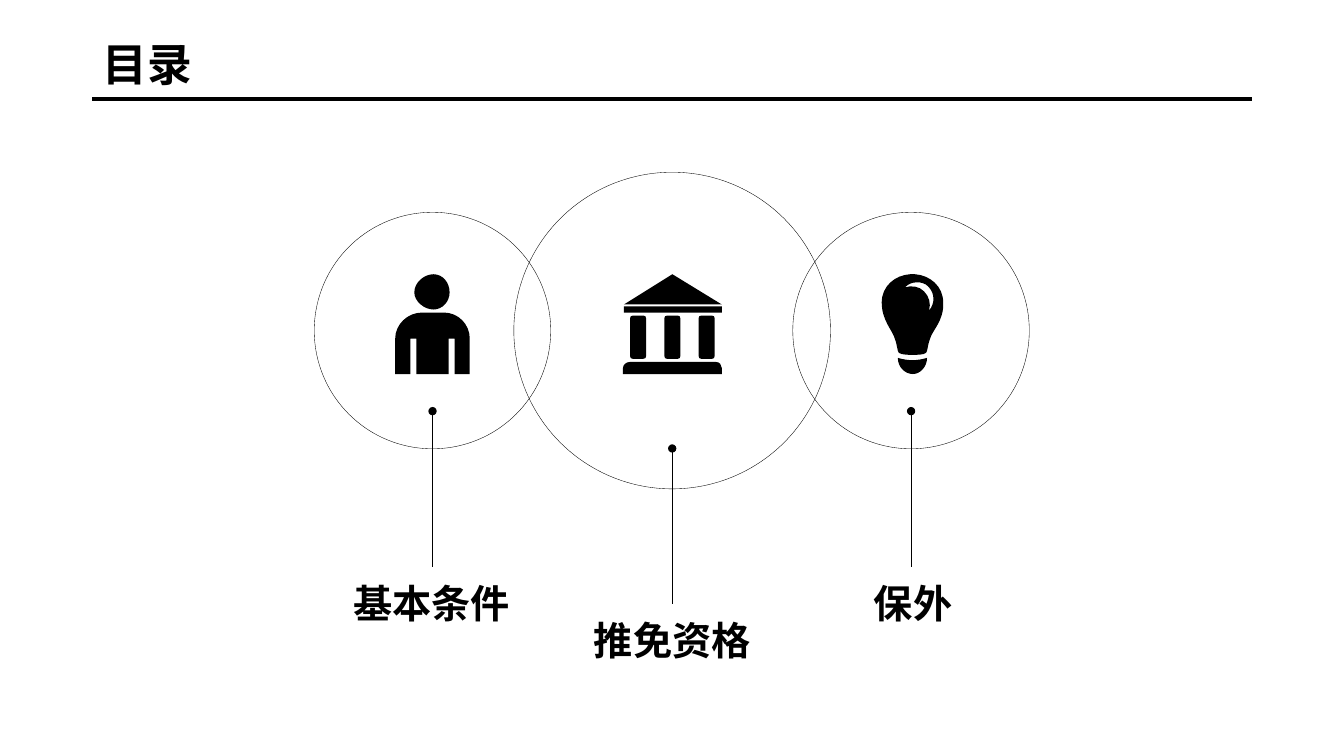
from lxml.etree import SubElement
from pptx import Presentation
from pptx.dml.color import RGBColor
from pptx.enum.shapes import MSO_CONNECTOR, MSO_SHAPE
from pptx.enum.text import MSO_ANCHOR, MSO_AUTO_SIZE, PP_ALIGN
from pptx.oxml.ns import qn
from pptx.util import Cm, Pt

BLACK = RGBColor(0, 0, 0)
FONT = "Noto Sans CJK SC"
UNIT = Cm(2.54) // 100
MID_Y = 8.33
ICON_Y = 6.91
PIN_LEN = 3.93


def box(x, y, w, h):
    return [(x, y), (x + w, y), (x + w, y + h), (x, y + h)]


def pillar(x, y=41, w=16, h=43, r=3):
    a, b = x + w, y + h
    return [(x + r, y), (a - r, y), (a - 1, y, a, y + 1, a, y + r),
            (a, b - r), (a, b - 1, a - 1, b, a - r, b),
            (x + r, b), (x + 1, b, x, b - 1, x, b - r),
            (x, y + r), (x, y + 1, x + 1, y, x + r, y)]


# Each part starts at a point; pairs are straight lines, sextuples are Bezier curves.
PERSON = [
    [(38, 35), (47, 35, 54, 27, 54, 18), (54, 8, 47, 0, 38, 0),
     (29, 0, 19, 8, 19, 18), (19, 27, 29, 35, 38, 35)],
    [(48, 38), (27, 38), (12, 38, 0, 50, 0, 64), (0, 99), (15, 99), (15, 64),
     (21, 64), (21, 99), (53, 99), (53, 64), (59, 64), (59, 99), (74, 99),
     (74, 64), (74, 50, 63, 38, 48, 38)],
]
BANK = [
    [(7, 87), (92, 87), (96, 87, 98, 90, 98, 93), (98, 99), (0, 99),
     (0, 93), (0, 90, 3, 87, 7, 87)],
    *[pillar(7 + 34 * i) for i in range(3)],
    box(1, 32, 97, 6),
    [(49, 0), (98, 30), (1, 30)],
]
BULB = [
    [(16, 83), (26, 86, 35, 86, 45, 83), (45, 92, 38, 99, 31, 99),
     (23, 99, 16, 92, 16, 83)],
    [(35, 8), (30, 8, 26, 10, 23, 13), (30, 11, 37, 12, 42, 17),
     (47, 22, 49, 29, 47, 36), (53, 29, 53, 19, 46, 12), (43, 9, 39, 8, 35, 8)],
    [(28, 0), (33, 0), (48, 1, 61, 12, 61, 28), (62, 46, 50, 56, 48, 64),
     (45, 72, 46, 75, 44, 78), (42, 80, 34, 80, 31, 80), (27, 80, 20, 80, 17, 78),
     (15, 75, 16, 72, 13, 64), (11, 56, 0, 46, 0, 28), (0, 12, 13, 1, 28, 0)],
]

# Label, its centre, ring centre, radius, top of pin, icon, left of icon
TOPICS = [
    ("推免资格", 16.94, 16.94, 3.99, 11.3, BANK, 15.7),
    ("基本条件", 10.87, 10.9, 2.98, 10.36, PERSON, 9.96),
    ("保外", 23.01, 22.96, 2.98, 10.36, BULB, 22.22),
]


def style(item, values):
    for name, value in values.items():
        setattr(item, name, value)


def write(shape, text, size, align):
    frame = shape.text_frame
    style(frame, {"text": text, "word_wrap": True,
                  "auto_size": MSO_AUTO_SIZE.NONE,
                  "vertical_anchor": MSO_ANCHOR.MIDDLE})
    para = frame.paragraphs[0]
    style(para, {"alignment": align, "space_before": Pt(0)})
    run = para.runs[0]
    style(run.font, {"name": FONT, "size": Pt(size), "bold": True})
    run.font.color.rgb = BLACK
    SubElement(run.font._element, qn("a:ea")).set("typeface", FONT)


def place(shape, x, y, w, h):
    style(shape, {"left": Cm(x), "top": Cm(y), "width": Cm(w), "height": Cm(h)})


def draw_line(slide, x1, y1, x2, y2, width, dot=False):
    line = slide.shapes.add_connector(
        MSO_CONNECTOR.STRAIGHT, Cm(x1), Cm(y1), Cm(x2), Cm(y2))
    line.line.color.rgb = BLACK
    line.line.width = Pt(width)
    props = line._element.spPr
    if dot:
        SubElement(props.find(qn("a:ln")), qn("a:headEnd")).set("type", "oval")
    SubElement(props, qn("a:effectLst"))


def draw_ring(slide, x, y, r):
    ring = slide.shapes.add_shape(
        MSO_SHAPE.OVAL, Cm(x - r), Cm(y - r), Cm(2 * r), Cm(2 * r))
    ring.shadow.inherit = False
    ring.fill.background()
    ring.line.color.rgb = BLACK
    ring.line.width = Pt(0.25)


def bend(line, seg):
    """Turn a straight path step into a Bezier curve."""
    line.tag = qn("a:cubicBezTo")
    for old in list(line):
        line.remove(old)
    for x, y in zip(seg[::2], seg[1::2]):
        point = SubElement(line, qn("a:pt"))
        point.set("x", str(x * UNIT))
        point.set("y", str(y * UNIT))


def draw_icon(slide, parts, x, y):
    pen = slide.shapes.build_freeform(*parts[0][0], scale=UNIT)
    for i, part in enumerate(parts):
        if i:
            pen.move_to(*part[0])
        pen.add_line_segments([seg[-2:] for seg in part[1:]], close=True)
    icon = pen.convert_to_shape(Cm(x), Cm(y))
    for size in ("w", "h"):
        route = next(icon._element.iter(qn("a:path")))
        route.set(size, str(int(icon.width if size == "w" else icon.height)))
    for point in route.iter(qn("a:pt")):
        for axis in ("x", "y"):
            point.set(axis, str(int(point.get(axis)) * UNIT))
    segs = [seg for part in parts for seg in part[1:]]
    for line, seg in zip(list(route.iter(qn("a:lnTo"))), segs):
        if len(seg) == 6:
            bend(line, seg)
    icon.shadow.inherit = False
    icon.fill.solid()
    icon.fill.fore_color.rgb = BLACK
    icon.line.fill.background()


def draw_label(slide, text, x, y):
    label = slide.shapes.add_textbox(Cm(x - 3.38), Cm(y), Cm(6.76), Cm(1.45))
    write(label, text, 28, PP_ALIGN.CENTER)


def main():
    deck = Presentation()
    style(deck, {"slide_width": Cm(33.87), "slide_height": Cm(19.05)})
    slide = deck.slides.add_slide(deck.slide_layouts[5])
    title = slide.shapes.title
    place(title, 2.34, 0.79, 11.56, 1.63)
    write(title, "目录", 32, PP_ALIGN.LEFT)
    draw_line(slide, 2.33, 2.5, 31.55, 2.5, 3)
    for text, mid, x, r, top, icon, left in TOPICS:
        end = top + PIN_LEN
        draw_ring(slide, x, MID_Y, r)
        draw_line(slide, x, top, x, end, 0.25, dot=True)
        draw_label(slide, text, mid, end + 0.18)
        draw_icon(slide, icon, left, ICON_Y)
    deck.save("out.pptx")


if __name__ == "__main__":
    main()
